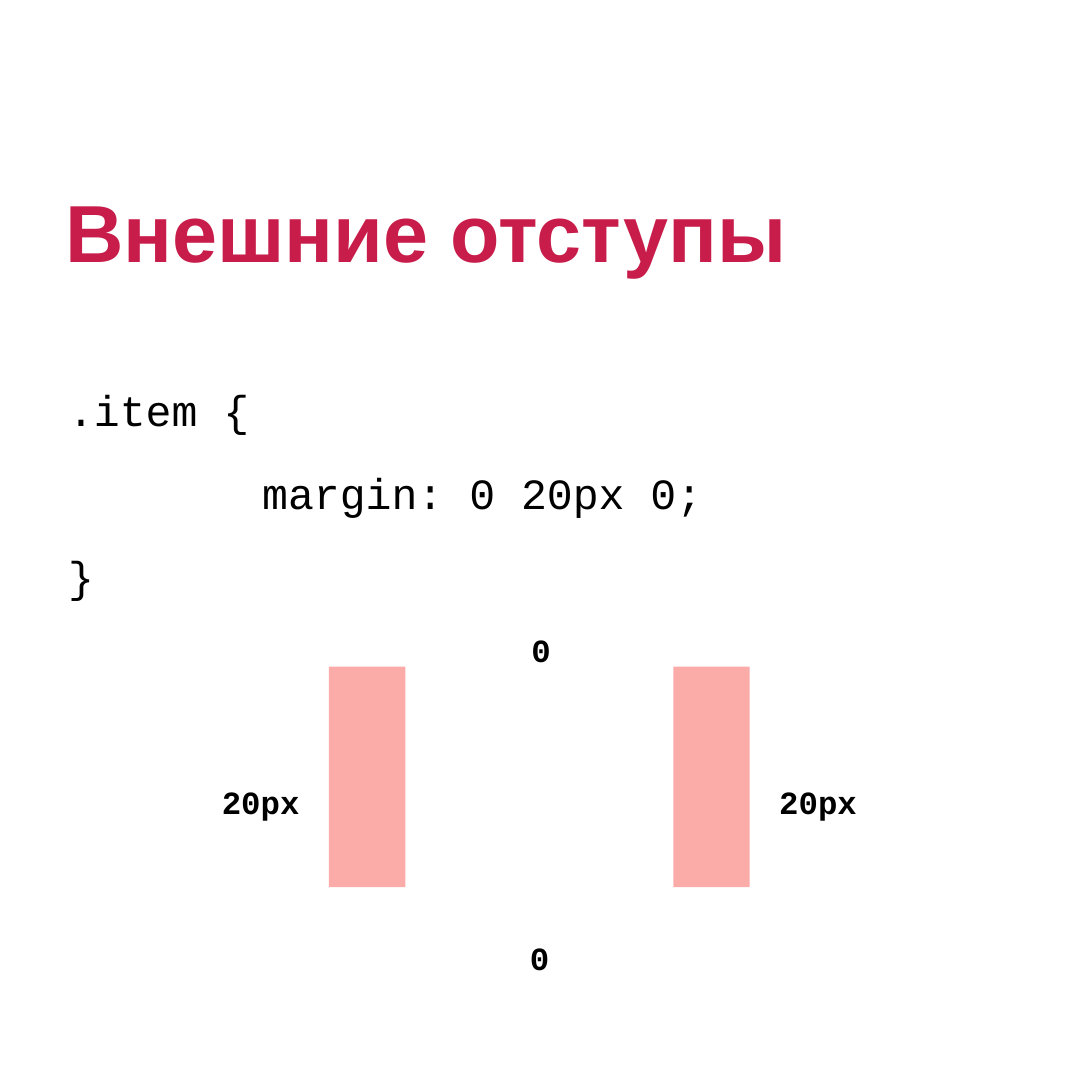
from dataclasses import dataclass

from pptx import Presentation
from pptx.dml.color import RGBColor as Color
from pptx.enum.shapes import MSO_SHAPE as Shape
from pptx.enum.text import MSO_ANCHOR as Anchor, PP_ALIGN as Align
from pptx.util import Pt


@dataclass(frozen=True)
class Theme:
    """Colours, typefaces and type sizes of the slide."""

    paper: Color = Color.from_string("FFFFFF")
    accent: Color = Color.from_string("C81D4A")
    ink: Color = Color.from_string("000000")
    margin: Color = Color.from_string("FBACA9")
    heading_face: str = "Arial"
    code_face: str = "Courier New"
    heading: int = 60
    code: int = 32
    label: int = 24


class Page:
    """A slide together with the theme that styles it."""

    def __init__(self, deck, theme):
        """Add a blank page to the deck."""
        self.theme = theme
        self.slide = deck.slides.add_slide(deck.slide_layouts[6])
        self.slide.background.fill.solid()
        self.slide.background.fill.fore_color.rgb = theme.paper

    def text(self, left, top, width, height, lines):
        """Write paragraphs given as (text, font, indents, spacing) entries."""
        box = self.slide.shapes.add_textbox(Pt(left), Pt(top), Pt(width), Pt(height))
        frame = box.text_frame
        layout = {
            "margin_left": 0,
            "margin_top": Pt(1),
            "margin_right": 0,
            "margin_bottom": 0,
            "word_wrap": True,
            "vertical_anchor": Anchor.TOP,
        }
        for name, value in layout.items():
            setattr(frame, name, value)
        for number, (words, font, indents, space) in enumerate(lines):
            para = frame.add_paragraph() if number else frame.paragraphs[0]
            para.space_before = Pt(space)
            para.alignment = Align.RIGHT if "marR" in indents else Align.LEFT
            for side, length in indents.items():
                para._p.get_or_add_pPr().set(side, str(Pt(length)))
            span = para.add_run()
            span.text = words
            for name, value in font.items():
                setattr(span.font, name, value)
            span.font.color.rgb = self.theme.accent if font["name"] == self.theme.heading_face else self.theme.ink

    def title(self, words):
        """Write the heading."""
        font = {"name": self.theme.heading_face, "size": Pt(self.theme.heading), "bold": True}
        self.text(47.5, 134, 549, 139, [(words, font, {"marL": 1}, 1)])

    def code(self, lines, top_label):
        """Write the code lines, closed by the label above the diagram."""
        font = {"name": self.theme.code_face, "size": Pt(self.theme.code), "bold": False}
        entries = [
            (words, font, {"marL": indent}, 23.4 if number else 1)
            for number, (words, indent) in enumerate(lines)
        ]
        entries.append((top_label, self.label_font(), {"marR": 114}, 21.6))
        self.text(49.5, 283, 473, 214.5, entries)

    def label_font(self):
        """Return the format values of a diagram label."""
        return {"name": self.theme.code_face, "size": Pt(self.theme.label), "bold": True}

    def label(self, left, top, width, words):
        """Write one diagram label."""
        self.text(left, top, width, 31, [(words, self.label_font(), {"marL": 1}, 1)])

    def bar(self, left, top, width, height):
        """Draw a bar that stands for a side margin."""
        bar = self.slide.shapes.add_shape(Shape.RECTANGLE, Pt(left), Pt(top), Pt(width), Pt(height))
        bar.shadow.inherit = False
        bar.fill.solid()
        bar.fill.fore_color.rgb = self.theme.margin
        bar.line.fill.background()


def main():
    """Build and save the slide."""
    deck = Presentation()
    deck.slide_width = deck.slide_height = Pt(810)
    page = Page(deck, Theme())
    page.title("Внешние отступы")
    page.code([(".item {", 1), ("margin: 0 20px 0;", 145), ("}", 1)], "0")
    for bar_left, label_left in ((244, 163.5), (499.5, 577)):
        page.bar(bar_left, 494.5, 56.7, 163.5)
        page.label(label_left, 579.5, 60, "20px")
    page.label(392, 695, 16.5, "0")
    deck.save("out.pptx")


if __name__ == "__main__":
    main()
